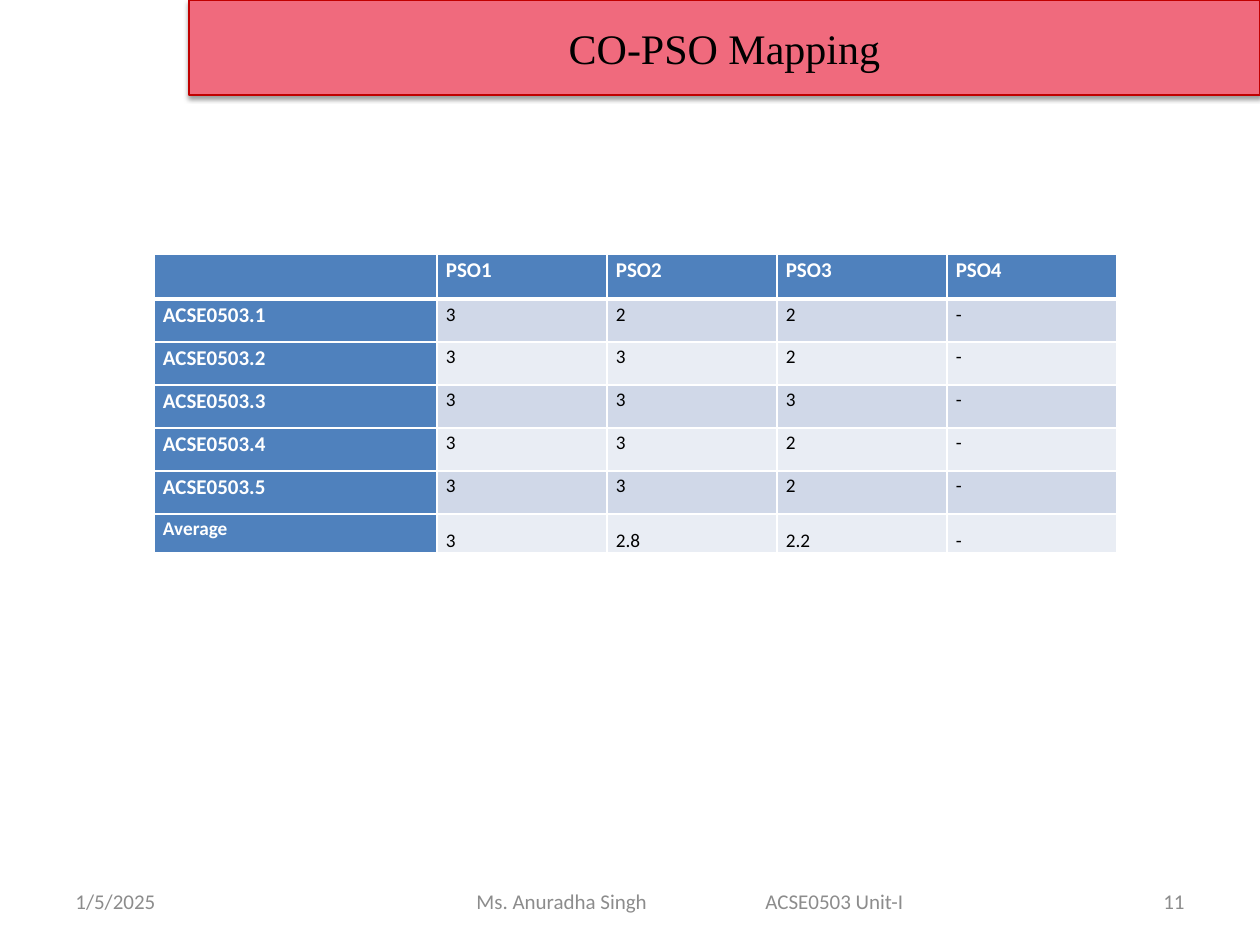
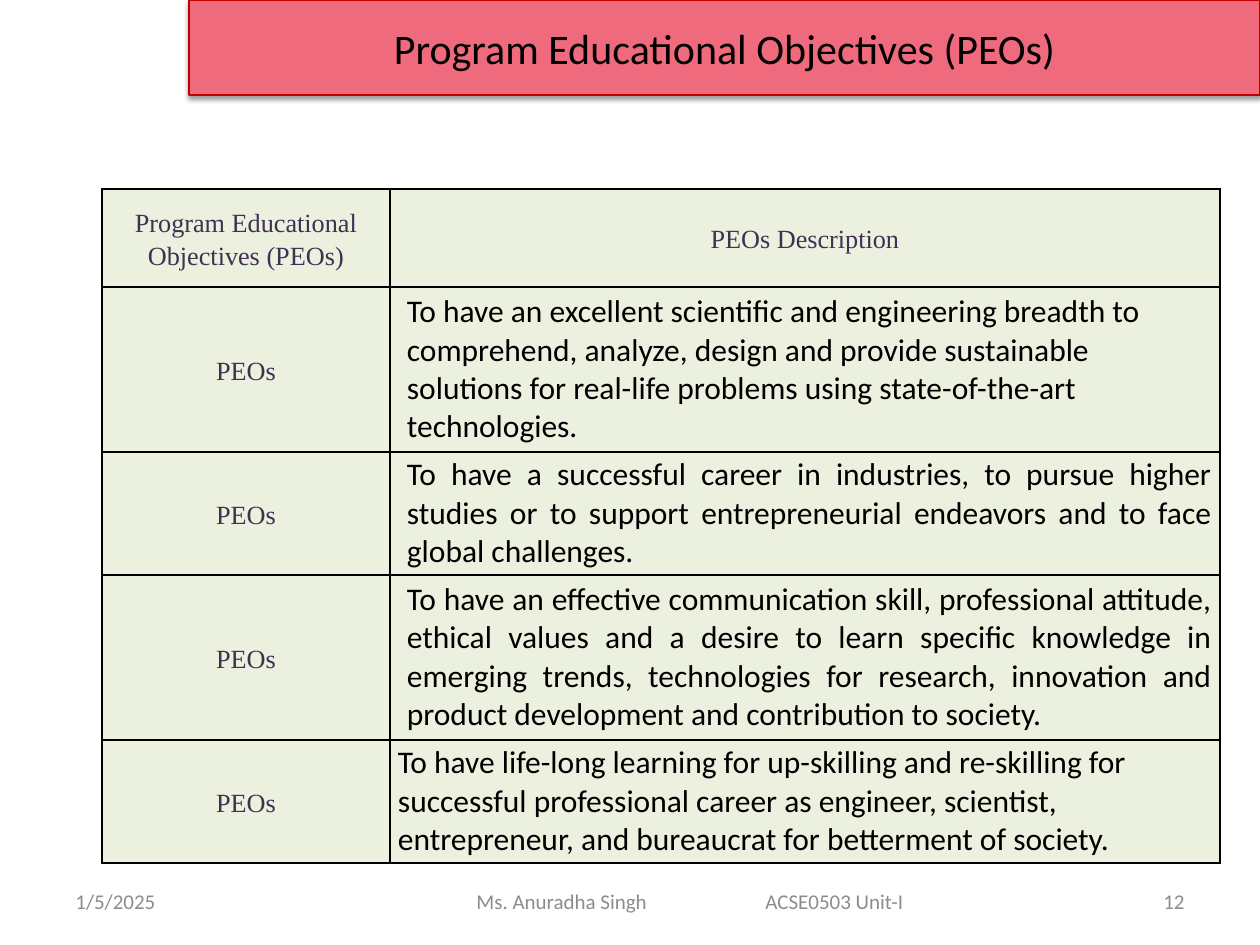
"""Builds two course slides: CO-PSO mapping and program educational objectives."""
from dataclasses import dataclass

from lxml import etree
from pptx import Presentation
from pptx import util as u
from pptx.dml.color import RGBColor
from pptx.enum import shapes, text
from pptx.oxml.ns import qn

LEFT, CENTER = text.PP_ALIGN.LEFT, text.PP_ALIGN.CENTER
RIGHT, JUSTIFY = text.PP_ALIGN.RIGHT, text.PP_ALIGN.JUSTIFY
TOP, MIDDLE, BOTTOM = text.MSO_ANCHOR.TOP, text.MSO_ANCHOR.MIDDLE, text.MSO_ANCHOR.BOTTOM


def px(length):
    return u.Emu(round(length * 914400 / 126))


@dataclass(frozen=True)
class Theme:
    sans: str = "Calibri"
    serif: str = "Times New Roman"
    black: str = "000000"
    white: str = "FFFFFF"
    gray: str = "8C8C8C"
    band: str = "F06A7D"
    band_line: str = "C00000"
    header: str = "4F81BD"
    stripes: tuple = ("D0D8E8", "E9EDF4")
    green: str = "EBF1DE"
    purple: str = "403152"
    title_size: int = 24
    body_size: int = 18
    label_size: int = 15
    small_size: int = 12
    value_size: int = 11


class Deck:
    def __init__(self, theme):
        self.theme = theme
        self.presentation = Presentation()
        self.presentation.slide_width = px(1260)
        self.presentation.slide_height = px(945)
        self.slide = None

    def add_slide(self, title, title_font, number):
        self.slide = self.presentation.slides.add_slide(self.presentation.slide_layouts[6])
        self.title_band(title, title_font)
        self.footer_text(63, 294, "1/5/2025", LEFT)
        self.footer_text(464, 576, "Ms. Anuradha Singh\tACSE0503 Unit-I", LEFT, tab=289)
        self.footer_text(903, 294, str(number), RIGHT)

    def style(self, paragraph, size, color, font=None, bold=False, align=LEFT, spacing=None):
        paragraph.alignment = align
        paragraph.line_spacing = spacing
        paragraph.font.name = font or self.theme.sans
        paragraph.font.size = u.Pt(size)
        paragraph.font.bold = bold
        paragraph.font.color.rgb = RGBColor.from_string(color)

    def title_band(self, title, font):
        theme = self.theme
        band = self.slide.shapes.add_shape(
            shapes.MSO_SHAPE.RECTANGLE, px(189), 0, px(1071), px(95))
        band.fill.solid()
        band.fill.fore_color.rgb = RGBColor.from_string(theme.band)
        band.line.color.rgb = RGBColor.from_string(theme.band_line)
        band.line.width = u.Pt(0.75)
        band.shadow.inherit = False
        effects = band._element.spPr.find(qn("a:effectLst"))
        shadow = etree.SubElement(effects, qn("a:outerShdw"), blurRad=str(u.Pt(3.1)),
                                  dist=str(u.Pt(1.6)), dir="5400000", rotWithShape="0")
        color = etree.SubElement(shadow, qn("a:srgbClr"), val=theme.black)
        etree.SubElement(color, qn("a:alpha"), val="38000")
        band.text_frame.text = title
        band.text_frame.vertical_anchor = MIDDLE
        self.style(band.text_frame.paragraphs[0], theme.title_size, theme.black, font, align=CENTER)

    def footer_text(self, left, width, content, align, tab=None):
        box = self.slide.shapes.add_textbox(px(left), px(876), px(width), px(50))
        frame = box.text_frame
        frame.word_wrap = True
        frame.vertical_anchor = MIDDLE
        frame.text = content
        paragraph = frame.paragraphs[0]
        if tab:
            tabs = etree.SubElement(paragraph._p.get_or_add_pPr(), qn("a:tabLst"))
            etree.SubElement(tabs, qn("a:tab"), pos=str(px(tab)), algn="l")
        self.style(paragraph, self.theme.small_size, self.theme.gray, align=align)

    def table(self, left, top, columns, rows):
        frame = self.slide.shapes.add_table(
            len(rows), len(columns), px(left), px(top), px(sum(columns)), px(sum(rows)))
        for column, width in zip(frame.table.columns, columns):
            column.width = px(width)
        for row, height in zip(frame.table.rows, rows):
            row.height = px(height)
        return frame.table

    def cell(self, cell, content, fill, border, inset, anchor=TOP, indent=0,
             top_width=1, bottom_width=1, **style):
        properties = cell._tc.get_or_add_tcPr()
        for side, width in zip("LRTB", (1, 1, top_width, bottom_width)):
            line = etree.SubElement(properties, qn(f"a:ln{side}"), w=str(u.Pt(width)))
            solid = etree.SubElement(line, qn("a:solidFill"))
            etree.SubElement(solid, qn("a:srgbClr"), val=border)
        cell.fill.solid()
        cell.fill.fore_color.rgb = RGBColor.from_string(fill)
        cell.margin_left, cell.margin_right = px(inset + indent), px(inset)
        cell.margin_top = cell.margin_bottom = 0
        cell.vertical_anchor = anchor
        cell.text = content
        self.style(cell.text_frame.paragraphs[0], **style)


def mapping_slide(deck):
    theme = deck.theme
    deck.add_slide("CO-PSO Mapping", theme.serif, 11)
    mapping = [
        ("", "PSO1", "PSO2", "PSO3", "PSO4"),
        ("ACSE0503.1", "3", "2", "2", "-"),
        ("ACSE0503.2", "3", "3", "2", "-"),
        ("ACSE0503.3", "3", "3", "3", "-"),
        ("ACSE0503.4", "3", "3", "2", "-"),
        ("ACSE0503.5", "3", "3", "2", "-"),
        ("Average", "3", "2.8", "2.2", "-"),
    ]
    table = deck.table(154, 254, [283] + [170] * 4, [45] + [43] * 5 + [39])
    last = len(mapping) - 1
    for i, row in enumerate(mapping):
        for j, content in enumerate(row):
            heading = i == 0 or j == 0
            deck.cell(
                table.cell(i, j), content, theme.header if heading else theme.stripes[(i - 1) % 2],
                theme.white, inset=9, anchor=BOTTOM if i == last and j else TOP,
                top_width=3 if i == 1 else 1, bottom_width=3 if i == 0 else 1,
                size=theme.small_size if heading and i < last else theme.value_size,
                color=theme.white if heading else theme.black, bold=heading, spacing=1.15)


def objectives_slide(deck):
    theme = deck.theme
    deck.add_slide("Program Educational Objectives (PEOs)", theme.sans, 12)
    objectives = [
        ("To have an excellent scientific and engineering breadth to comprehend, analyze, design "
         "and provide sustainable solutions for real-life problems using state-of-the-art "
         "technologies.", LEFT, 9),
        ("To have a successful career in industries, to pursue higher studies or to support "
         "entrepreneurial endeavors and to face global challenges.", JUSTIFY, 9),
        ("To have an effective communication skill, professional attitude, ethical values and a "
         "desire to learn specific knowledge in emerging trends, technologies for research, "
         "innovation and product development and contribution to society.", JUSTIFY, 9),
        ("To have life-long learning for up-skilling and re-skilling for successful professional "
         "career as engineer, scientist, entrepreneur, and bureaucrat for betterment of society.",
         LEFT, 0),
    ]
    table = deck.table(102, 189, [288, 830], [98, 165, 123, 165, 123])
    frame = dict(fill=theme.green, border=theme.black, inset=8, anchor=MIDDLE)
    label = dict(frame, size=theme.label_size, color=theme.purple, font=theme.serif,
                 align=CENTER, spacing=1.15)
    deck.cell(table.cell(0, 0), "Program Educational Objectives (PEOs)", **label)
    deck.cell(table.cell(0, 1), "PEOs Description", **label)
    for i, (description, align, indent) in enumerate(objectives, start=1):
        deck.cell(table.cell(i, 0), "PEOs", **label)
        deck.cell(table.cell(i, 1), description, indent=indent, size=theme.body_size,
                  color=theme.black, align=align, **frame)


def main():
    deck = Deck(Theme())
    mapping_slide(deck)
    objectives_slide(deck)
    deck.presentation.save("out.pptx")


if __name__ == "__main__":
    main()
